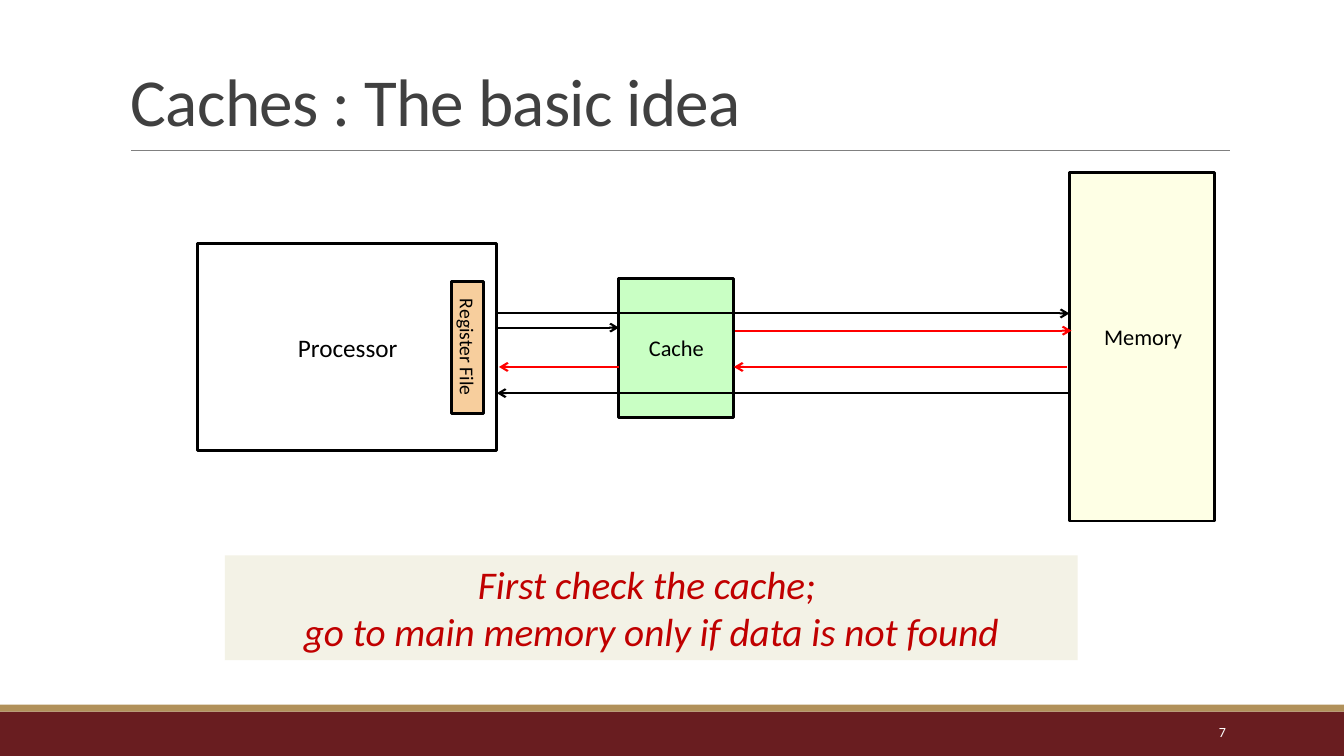
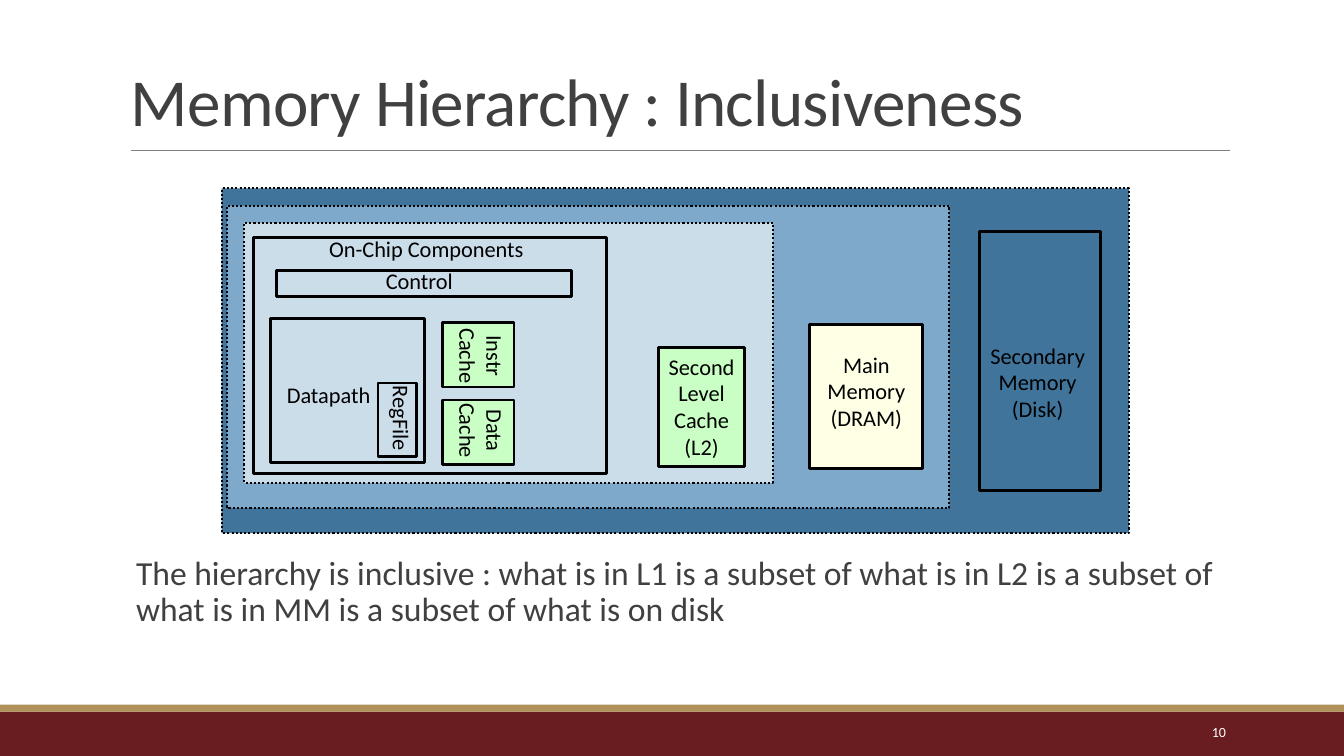
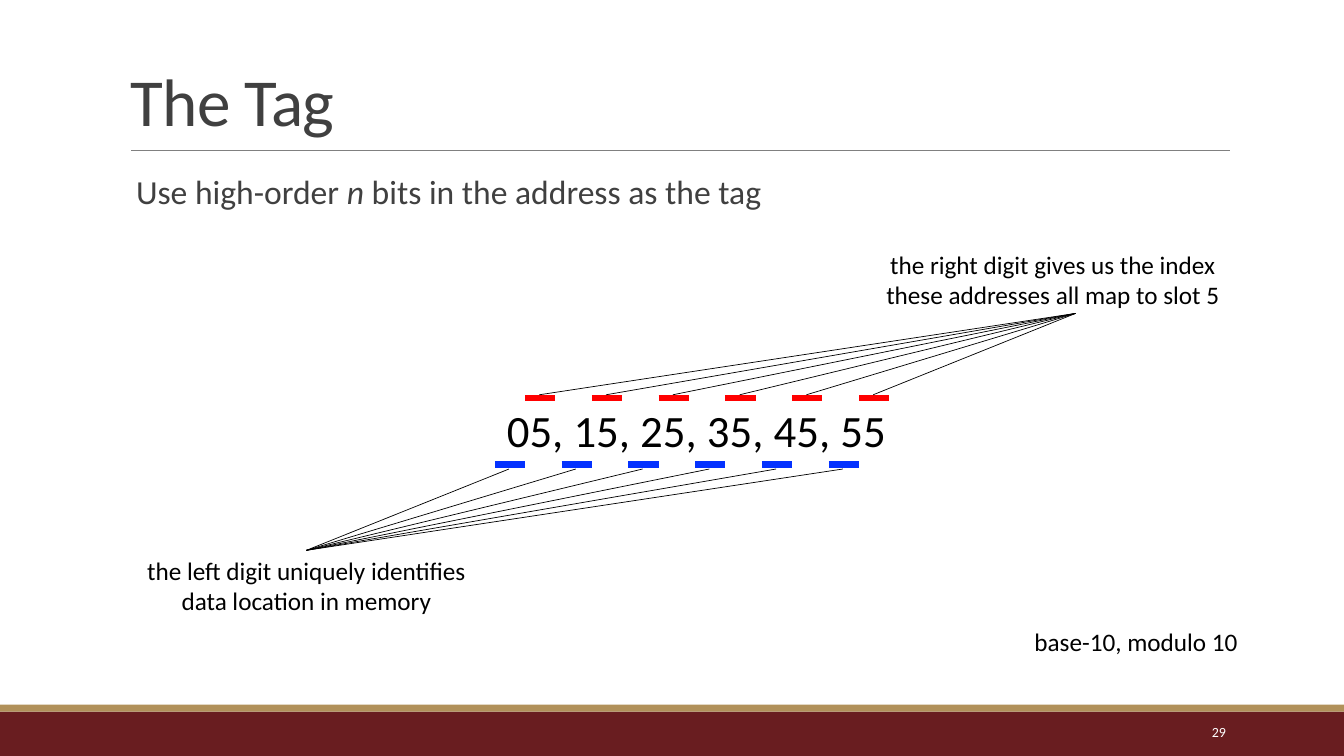
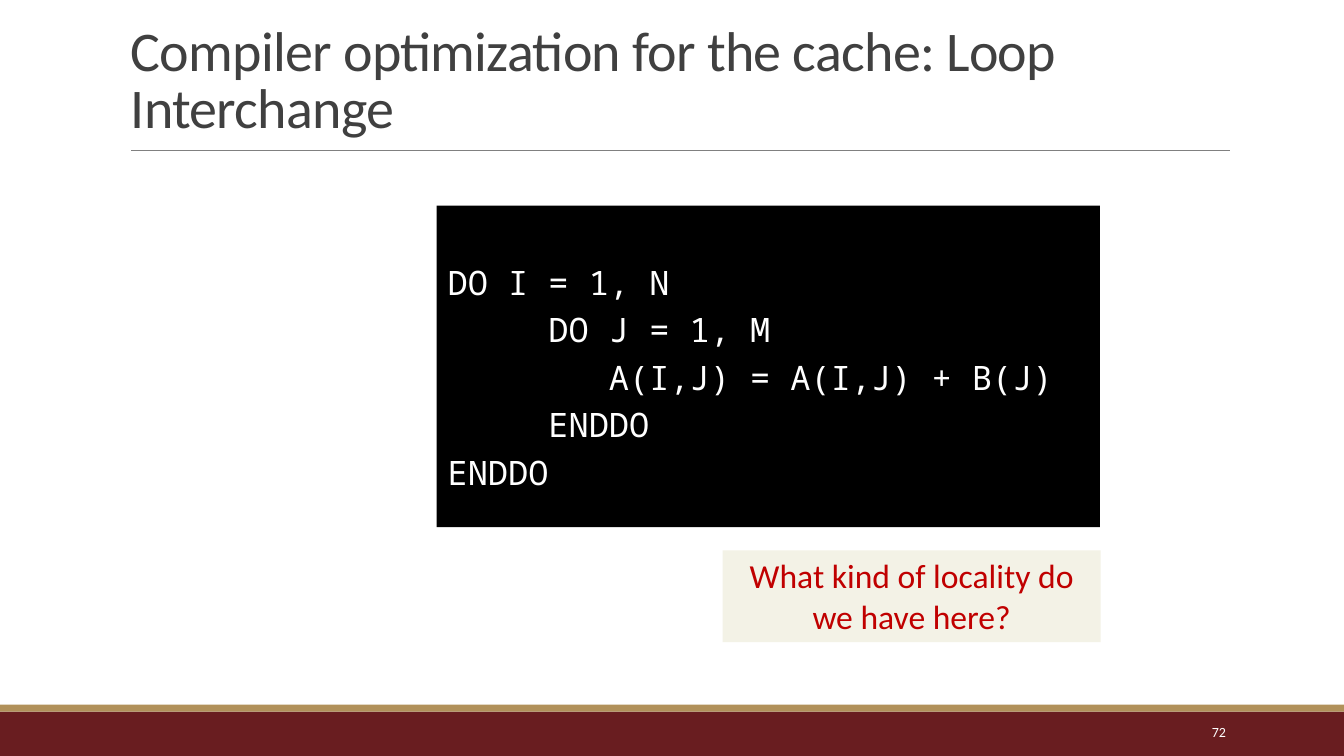
"""Build four lecture slides about caches and the memory hierarchy."""
from dataclasses import dataclass
from typing import Optional, Sequence, Union

from lxml.etree import SubElement
from pptx import Presentation
from pptx.dml.color import RGBColor
from pptx.enum.dml import MSO_LINE_DASH_STYLE as Dash
from pptx.enum.shapes import MSO_CONNECTOR as Connector, MSO_SHAPE as Preset
from pptx.enum.text import MSO_ANCHOR as Anchor, PP_ALIGN as Align
from pptx.oxml.ns import qn
from pptx.util import Pt

COLORS = {
    "maroon": "691D20", "gold": "B1915A", "rule": "808080", "heading": "404040",
    "black": "000000", "white": "FFFFFF", "red": "FF0000", "blue": "0432FF",
    "emphasis": "C00000", "note": "F3F2E6", "register": "F7CE9D",
    "cache": "C9FFC4", "memory": "FEFFE5",
    "disk_level": "40749B", "memory_level": "7EA9CA", "cache_level": "CCDDEA",
}
BODY_FONT = "Calibri"
CODE_FONT = "Noto Sans Mono"
INSETS = (7.2, 3.6, 7.2, 3.6)
BODY_INSETS = (10.8, 3.6, 0, 3.6)


@dataclass(frozen=True)
class Box:
    """A rectangle in points."""
    left: float
    top: float
    width: float
    height: float


@dataclass(frozen=True)
class Run:
    """A piece of a line with its own slant."""
    text: str
    italic: bool = False


@dataclass(frozen=True)
class Block:
    """An outlined rectangle of a diagram."""
    box: Box
    fill: Optional[str] = None
    weight: float = 2
    dash: Optional[Dash] = None


@dataclass(frozen=True)
class Label:
    """A diagram label, possibly turned."""
    box: Box
    lines: Sequence[str]
    size: float = 16
    rotation: float = 0
    align: Align = Align.CENTER


@dataclass(frozen=True)
class Arrow:
    """A horizontal arrow."""
    start: float
    end: float
    y: float
    color: str = "black"


@dataclass(frozen=True)
class Fan:
    """A row of dashes and the thin lines that lead to them from one point."""
    color: str
    dash_left: float
    dash_y: float
    origin: tuple[float, float]
    end_left: float
    end_y: float


Line = Union[str, Sequence[Run]]
TITLE_BOX = Box(86.4, 22.3, 792, 81.4)
NUMBER_BOX = Box(779.8, 508.3, 103, 28.8)
BANDS = ((Box(0, 508.3, 960, 31.7), "maroon"), (Box(0, 503.3, 960, 5), "gold"))

PATH_BLOCKS = (
    Block(Box(141.1, 174.2, 213.8, 147.6)),
    Block(Box(763.9, 123.1, 103.7, 249.1), "memory"),
)
PATH_LABELS = (
    Label(Box(769.7, 227.5, 93.6, 26.6), ["Memory"]),
    Label(Box(205.2, 234, 86.4, 28.8), ["Processor"], size=18),
)
PATH_ARROWS = (
    Arrow(354.9, 763.9, 223.9),
    Arrow(763.9, 354.9, 280.8),
    Arrow(354.9, 442.1, 234),
    Arrow(524.9, 765.4, 236.2, "red"),
    Arrow(762.5, 524.2, 262.1, "red"),
    Arrow(442.1, 356.4, 262.1, "red"),
)

LEVEL_BLOCKS = (
    Block(Box(158.4, 134.6, 648, 246.2), "disk_level", 1.5, Dash.ROUND_DOT),
    Block(Box(162, 146.9, 516.2, 216), "memory_level", 1.5, Dash.ROUND_DOT),
    Block(Box(174.2, 159.1, 378, 185.8), "cache_level", 1.5, Dash.ROUND_DOT),
    Block(Box(197.3, 193, 211, 18.7)),
    Block(Box(193, 227.5, 110.2, 103)),
    Block(Box(699.8, 165.6, 86.4, 185)),
    Block(Box(181.4, 169.9, 252, 168.5)),
    Block(Box(270, 273.6, 27.4, 52.6)),
    Block(Box(316.1, 230.4, 51.1, 46.1), "cache"),
    Block(Box(316.1, 285.8, 51.1, 46.1), "cache"),
    Block(Box(578.2, 231.8, 80.6, 103), "memory"),
)
LEVEL_LABELS = (
    Label(Box(267.8, 187.2, 63.4, 26.6), ["Control"]),
    Label(Box(197.3, 268.6, 74.9, 26.6), ["Datapath"]),
    Label(Box(699.8, 240.5, 82.8, 65.5), ["Secondary", "Memory", "(Disk)"]),
    Label(Box(226.8, 164.2, 155.5, 26.6), ["On-Chip Components"]),
    Label(Box(248.4, 293.8, 77, 26.6), ["RegFile"], rotation=90, align=Align.LEFT),
    Label(Box(316.8, 231.1, 54, 46.1), ["Instr", "Cache"], rotation=90),
    Label(Box(316.8, 284.4, 54, 46.1), ["Data", "Cache"], rotation=90),
    Label(Box(582.5, 247, 72.7, 64.8), ["Main", "Memory", "(DRAM)"]),
)

ADDRESS_COUNT = 6
ADDRESS_PITCH = 47.7
DASH_WIDTH = 21.6
INDEX_FAN = Fan("red", 375.1, 284.4, (768.2, 223.9), 385.2, 282)
TAG_FAN = Fan("blue", 353.5, 331.9, (218.9, 393.1), 363.6, 335)

LOOP_CODE = (
    "DO I = 1, N",
    "     DO J = 1, M",
    "        A(I,J) = A(I,J) + B(J)",
    "     ENDDO",
    "ENDDO",
)


def rgb(name: str) -> RGBColor:
    """Look up a colour of the palette."""
    return RGBColor.from_string(COLORS[name])


def write(shape, lines: Sequence[Line], *, size: float, color: str = "black",
          font: str = BODY_FONT, align: Align = Align.LEFT, anchor: Anchor = Anchor.TOP,
          italic: bool = False, wrap: bool = True, insets: Sequence[float] = INSETS,
          spacing=None, tracking: int = 0, vertical: bool = False):
    """Fill a shape with formatted lines, one paragraph each."""
    frame = shape.text_frame
    frame.word_wrap = wrap
    frame.vertical_anchor = anchor
    frame.margin_left, frame.margin_top, frame.margin_right, frame.margin_bottom = map(Pt, insets)
    if vertical:
        frame._txBody.bodyPr.set("vert", "vert")
    for index, line in enumerate(lines):
        paragraph = frame.add_paragraph() if index else frame.paragraphs[0]
        paragraph.alignment = align
        paragraph.line_spacing = spacing
        for piece in [Run(line, italic)] if isinstance(line, str) else line:
            run = paragraph.add_run()
            run.text = piece.text
            run.font.name = font
            run.font.size = Pt(size)
            run.font.italic = piece.italic
            run.font.color.rgb = rgb(color)
            if tracking:
                run._r.get_or_add_rPr().set("spc", str(tracking))
    return shape


def add_rectangle(slide, box: Box, fill: Optional[str] = None, weight: float = 0,
                  dash: Optional[Dash] = None):
    """Draw a rectangle, outlined in black when it has a line weight."""
    shape = slide.shapes.add_shape(
        Preset.RECTANGLE, Pt(box.left), Pt(box.top), Pt(box.width), Pt(box.height))
    shape.shadow.inherit = False
    if fill:
        shape.fill.solid()
        shape.fill.fore_color.rgb = rgb(fill)
    else:
        shape.fill.background()
    if weight:
        shape.line.color.rgb = rgb("black")
        shape.line.width = Pt(weight)
        shape.line.dash_style = dash
    else:
        shape.line.fill.background()
    return shape


def add_text(slide, box: Box, lines: Sequence[Line], **style):
    """Draw a text box."""
    shape = slide.shapes.add_textbox(Pt(box.left), Pt(box.top), Pt(box.width), Pt(box.height))
    return write(shape, lines, **style)


def add_line(slide, start: tuple[float, float], end: tuple[float, float], *,
             weight: float, color: str = "black", arrow: bool = False):
    """Draw a straight connector."""
    line = slide.shapes.add_connector(Connector.STRAIGHT, *map(Pt, (*start, *end)))
    line.line.color.rgb = rgb(color)
    line.line.width = Pt(weight)
    if arrow:
        SubElement(line.line._get_or_add_ln(), qn("a:tailEnd"), type="arrow")
    SubElement(line._element.spPr, qn("a:effectLst"))
    return line


def add_block(slide, block: Block):
    """Draw one block of a diagram."""
    return add_rectangle(slide, block.box, block.fill, block.weight, block.dash)


def add_label(slide, label: Label):
    """Draw one label of a diagram."""
    shape = add_text(slide, label.box, label.lines, size=label.size, align=label.align, wrap=False)
    shape.rotation = label.rotation
    return shape


def add_body(slide, box: Box, line: Line):
    """Draw a body paragraph."""
    return add_text(slide, box, [line], size=24, color="heading", insets=BODY_INSETS, spacing=0.9)


def add_note(slide, box: Box, lines: Sequence[str], size: float, italic: bool = False):
    """Draw a highlighted remark."""
    shape = add_rectangle(slide, box, "note")
    return write(shape, lines, size=size, color="emphasis", align=Align.CENTER, italic=italic)


def add_fan(slide, fan: Fan, label=None) -> None:
    """Draw a fan, joined to the top of its label if one is given."""
    for index in range(ADDRESS_COUNT):
        shift = index * ADDRESS_PITCH
        left = fan.dash_left + shift
        add_line(slide, (left, fan.dash_y), (left + DASH_WIDTH, fan.dash_y),
                 weight=4.5, color=fan.color)
        ray = add_line(slide, fan.origin, (fan.end_left + shift, fan.end_y), weight=0.5)
        if label is not None:
            ray.begin_connect(label, 0)


def add_slide(presentation, title: str, number: int, title_size: float = 48):
    """Add a blank slide with the shared bands, title, rule and number."""
    slide = presentation.slides.add_slide(presentation.slide_layouts[6])
    for box, color in BANDS:
        add_rectangle(slide, box, color)
    add_line(slide, (93.6, 107.3), (878.4, 107.3), weight=0.5, color="rule")
    add_text(slide, TITLE_BOX, [title], size=title_size, color="heading",
             anchor=Anchor.BOTTOM, spacing=0.85, tracking=-50)
    add_text(slide, NUMBER_BOX, [str(number)], size=10, color="white",
             align=Align.RIGHT, anchor=Anchor.MIDDLE)
    return slide


def build_basic_idea(presentation) -> None:
    """Show the cache between processor and memory."""
    slide = add_slide(presentation, "Caches : The basic idea", 7)
    for block in PATH_BLOCKS:
        add_block(slide, block)
    register = add_rectangle(slide, Box(322.6, 200.9, 23, 94.3), "register", 2)
    write(register, ["Register File"], size=14, align=Align.CENTER, anchor=Anchor.MIDDLE,
          wrap=False, vertical=True)
    cache = add_rectangle(slide, Box(442.1, 198.7, 82.1, 99.4), "cache", 2.25)
    write(cache, ["Cache"], size=16, align=Align.CENTER, anchor=Anchor.MIDDLE, wrap=False)
    for label in PATH_LABELS:
        add_label(slide, label)
    for arrow in PATH_ARROWS:
        add_line(slide, (arrow.start, arrow.y), (arrow.end, arrow.y),
                 weight=1.5, color=arrow.color, arrow=True)
    add_note(slide, Box(160.6, 396.7, 609.1, 74.9),
             ["First check the cache; ", "go to main memory only if data is not found"],
             size=28, italic=True)


def build_inclusiveness(presentation) -> None:
    """Show the nested levels of the memory hierarchy."""
    slide = add_slide(presentation, "Memory Hierarchy : Inclusiveness", 10)
    for block in LEVEL_BLOCKS:
        add_block(slide, block)
    second_level = add_rectangle(slide, Box(470.2, 248.4, 61.9, 85), "cache", 2.25)
    write(second_level, ["Second", "Level", "Cache", "(L2)"], size=16,
          align=Align.CENTER, wrap=False)
    for label in LEVEL_LABELS:
        add_label(slide, label)
    add_body(slide, Box(86.4, 393.8, 792, 71.3),
             "The hierarchy is inclusive : what is in L1 is a subset of what is in L2 "
             "is a subset of what is in MM is a subset of what is on disk")


def build_tag(presentation) -> None:
    """Show how the digits of an address give index and tag."""
    slide = add_slide(presentation, "The Tag", 29)
    add_body(slide, Box(86.4, 121.7, 792, 116.6),
             [Run("Use high-order "), Run("n ", True), Run("bits in the address as the tag")])
    add_text(slide, Box(299.5, 284.4, 342, 46.1), ["05, 15, 25, 35, 45, 55"], size=32,
             align=Align.CENTER, wrap=False, insets=(61.2, 3.6, 7.2, 3.6))
    add_label(slide, Label(
        Box(625.7, 174.2, 252.7, 51.1),
        ["the right digit gives us the index", "these addresses all map to slot 5"], size=18))
    tag_label = add_text(
        slide, Box(97.2, 393.1, 243.4, 51.1),
        ["the left digit uniquely identifies data location in memory"],
        size=18, align=Align.CENTER)
    add_label(slide, Label(Box(730.8, 444.2, 161.3, 28.8), ["base-10, modulo 10"], size=18))
    add_fan(slide, INDEX_FAN)
    add_fan(slide, TAG_FAN, tag_label)


def build_loop_interchange(presentation) -> None:
    """Show the loop nest and the question about it."""
    slide = add_slide(presentation, "Compiler optimization for the cache: Loop Interchange", 72, 40)
    listing = add_rectangle(slide, Box(311.8, 146.9, 473.8, 229.7), "black")
    write(listing, LOOP_CODE, size=24, color="white", font=CODE_FONT,
          insets=(7.9, 35, 0, 3.6), spacing=Pt(33.9))
    add_note(slide, Box(516.2, 393.1, 270, 65.5), ["What kind of locality do we have here?"], size=24)


def main() -> None:
    """Build and save the presentation."""
    presentation = Presentation()
    presentation.slide_width, presentation.slide_height = Pt(960), Pt(540)
    build_basic_idea(presentation)
    build_inclusiveness(presentation)
    build_tag(presentation)
    build_loop_interchange(presentation)
    presentation.save("out.pptx")


if __name__ == "__main__":
    main()
